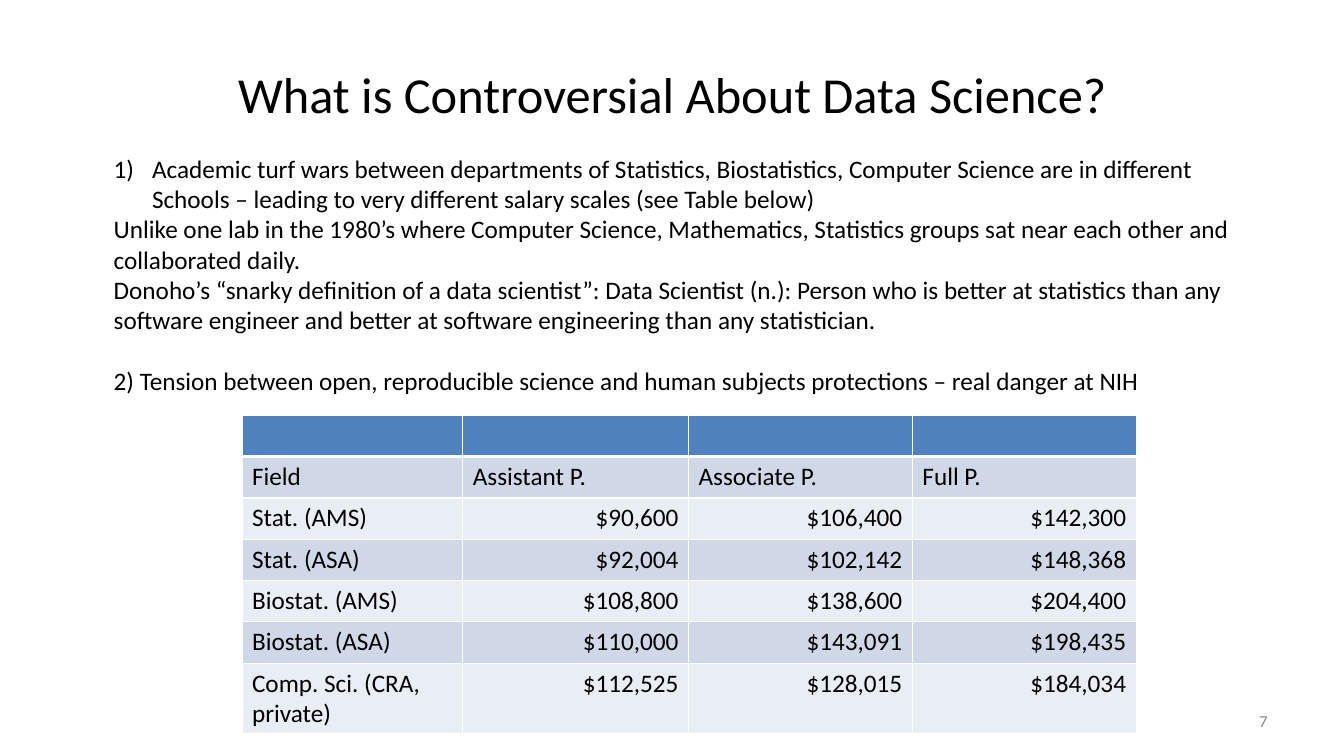
from lxml import etree
from pptx import Presentation
from pptx.dml.color import RGBColor
from pptx.enum.text import MSO_ANCHOR, PP_ALIGN
from pptx.oxml.ns import qn
from pptx.util import Inches, Pt

LEFT, CENTER, RIGHT = PP_ALIGN.LEFT, PP_ALIGN.CENTER, PP_ALIGN.RIGHT
TOP, MIDDLE = MSO_ANCHOR.TOP, MSO_ANCHOR.MIDDLE

COLORS = {
    "text": "000000",
    "page number": "8C8C8C",
    "header": "4F81BD",
    "dark band": "D0D8E8",
    "light band": "E9EDF4",
    "border": "FFFFFF",
}

POINTS = [
    "Academic turf wars between departments of Statistics, Biostatistics, Computer Science "
    "are in different Schools – leading to very different salary scales (see Table below)",
    "Unlike one lab in the 1980’s where Computer Science, Mathematics, Statistics groups "
    "sat near each other and collaborated daily.",
    "Donoho’s “snarky definition of a data scientist”: Data Scientist (n.): Person who is "
    "better at statistics than any software engineer and better at software engineering "
    "than any statistician.",
    "2) Tension between open, reproducible science and human subjects protections – "
    "real danger at NIH",
]

SALARIES = [
    ["", "", "", ""],
    ["Field", "Assistant P.", "Associate P.", "Full P."],
    ["Stat. (AMS)", "$90,600", "$106,400", "$142,300"],
    ["Stat. (ASA)", "$92,004", "$102,142", "$148,368"],
    ["Biostat. (AMS)", "$108,800", "$138,600", "$204,400"],
    ["Biostat. (ASA)", "$110,000", "$143,091", "$198,435"],
    ["Comp. Sci. (CRA, private)", "$112,525", "$128,015", "$184,034"],
]


class SlideBuilder:
    def __init__(self, page, font_name="Calibri", body_size=18):
        self.page = page
        self.font_name = font_name
        self.body_size = body_size

    def style(self, para, size, color="text", align=LEFT):
        para.alignment = align
        para.font.name = self.font_name
        para.font.size = Pt(size)
        para.font.color.rgb = RGBColor.from_string(COLORS[color])

    def text(self, place, lines, size=None, color="text", align=LEFT, anchor=TOP):
        box = self.page.shapes.add_textbox(*map(Inches, place))
        frame = box.text_frame
        frame.word_wrap = True
        frame.vertical_anchor = anchor
        frame.text = "\n".join(lines)
        for para in frame.paragraphs:
            self.style(para, size or self.body_size, color, align)
        return frame

    def number(self, para, indent):
        """Number a paragraph as 1) with a hanging indent."""
        properties = para._p.get_or_add_pPr()
        properties.set("marL", str(Inches(indent)))
        properties.set("indent", str(-Inches(indent)))
        etree.SubElement(properties, qn("a:buFont"), typeface="+mj-lt")
        etree.SubElement(properties, qn("a:buAutoNum"), type="arabicParenR")

    def borders(self, cell, top, bottom):
        """Draw the four edges of a cell; side edges are 1 pt wide."""
        properties = cell._tc.get_or_add_tcPr()
        edges = {"lnL": 1, "lnR": 1, "lnT": top, "lnB": bottom}
        for position, (edge, width) in enumerate(edges.items()):
            line = etree.Element(qn(f"a:{edge}"), w=str(Pt(width)))
            fill = etree.SubElement(line, qn("a:solidFill"))
            etree.SubElement(fill, qn("a:srgbClr"), val=COLORS["border"])
            properties.insert(position, line)

    def table(self, place, rows, widths, row_height):
        frame = self.page.shapes.add_table(len(rows), len(widths), *map(Inches, place))
        table = frame.table
        for column, width in zip(table.columns, widths):
            column.width = Inches(width)
        for row_index, values in enumerate(rows):
            table.rows[row_index].height = Inches(row_height)
            band = "dark band" if row_index % 2 else "light band"
            for column_index, value in enumerate(values):
                cell = table.cell(row_index, column_index)
                cell.fill.solid()
                cell.fill.fore_color.rgb = RGBColor.from_string(
                    COLORS[band if row_index else "header"])
                self.borders(cell, top=3 if row_index == 1 else 1,
                             bottom=1 if row_index else 3)
                cell.text = value
                align = RIGHT if value.startswith("$") else LEFT
                self.style(cell.text_frame.paragraphs[0], self.body_size, align=align)


def main():
    deck = Presentation()
    deck.slide_width, deck.slide_height = Inches(13.33), Inches(7.5)
    builder = SlideBuilder(deck.slides.add_slide(deck.slide_layouts[6]))

    builder.text((0.67, 0.3, 12, 1.25), ["What is Controversial About Data Science?"],
                 size=36, align=CENTER, anchor=MIDDLE)
    builder.text((9.56, 6.95, 3.11, 0.4), ["7"], size=12, color="page number",
                 align=RIGHT, anchor=MIDDLE)

    body = builder.text((1.03, 1.47, 11.3, 2.52), POINTS)
    builder.number(body.paragraphs[0], 0.38)
    body.paragraphs[-1].space_before = Pt(22)

    builder.table((2.4, 4.12, 8.87, 2.87), SALARIES,
                  widths=[2.19, 2.24, 2.22, 2.22], row_height=0.41)
    deck.save("out.pptx")


if __name__ == "__main__":
    main()
